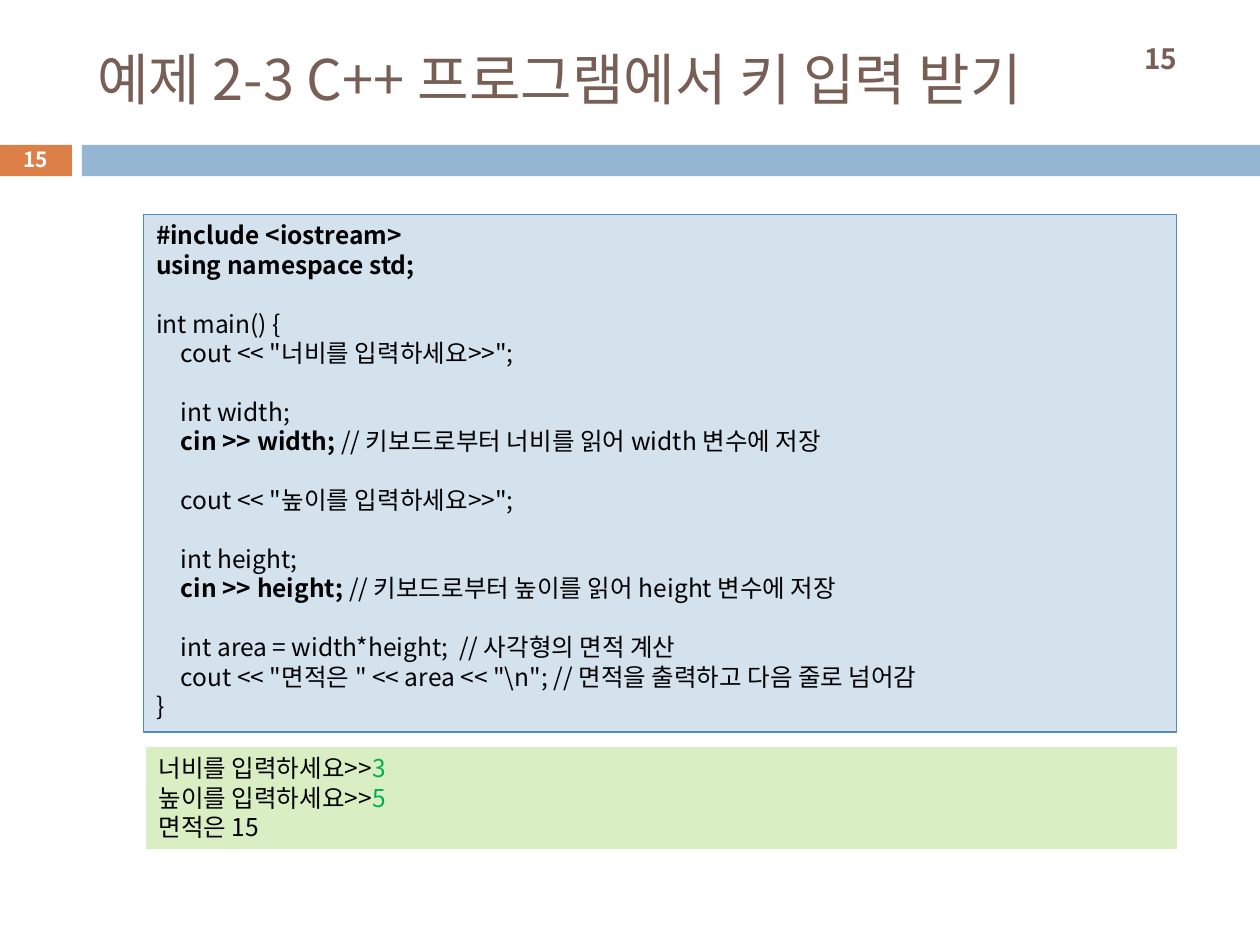
from lxml.etree import SubElement
from pptx import Presentation
from pptx.dml.color import RGBColor
from pptx.enum.shapes import MSO_SHAPE
from pptx.enum.text import MSO_ANCHOR, PP_ALIGN
from pptx.oxml.ns import qn
from pptx.util import Cm, Inches, Pt

FONT = "Noto Sans CJK KR"
BROWN, BLACK, WHITE, GREEN = "775F55", "000000", "FFFFFF", "00B050"
WIDTH, HEIGHT = Inches(10), Inches(7.5)
LINE = Pt(16.8)

CODE = [
    (0, [("#include <iostream>", True)]),
    (0, [("using namespace std;", True)]),
    (1, [("int main() {", False)]),
    (0, [("\tcout << \"너비를 입력하세요>>\";", False)]),
    (1, [("\tint width;", False)]),
    (0, [("\tcin >> width; ", True),
         ("// 키보드로부터 너비를 읽어 width 변수에 저장", False)]),
    (1, [("\tcout << \"높이를 입력하세요>>\";", False)]),
    (1, [("\tint height;", False)]),
    (0, [("\tcin >> height; ", True),
         ("// 키보드로부터 높이를 읽어 height 변수에 저장", False)]),
    (1, [("\tint area = width*height;\t // 사각형의 면적 계산", False)]),
    (0, [("\tcout << \"면적은 \" << area << \"\\n\"; "
          "// 면적을 출력하고 다음 줄로 넘어감", False)]),
    (0, [("}", False)]),
]
OUTPUT = [("너비를 입력하세요>>", "3"), ("높이를 입력하세요>>", "5"), ("면적은 15", "")]


def rgb(value):
    """Turn a hex string into a colour."""
    return RGBColor.from_string(value)


def place(box):
    """Turn left, top, width and height in percent of the slide into lengths."""
    return [int(share * side / 100)
            for share, side in zip(box, (WIDTH, HEIGHT) * 2)]


def add_run(p, text, size, color=BLACK, bold=False):
    """Append a run in the slide's font for Latin and Korean text."""
    r = p.add_run()
    r.text = text
    r.font.name, r.font.size, r.font.bold = FONT, Pt(size), bold
    r.font.color.rgb = rgb(color)
    SubElement(r._r.get_or_add_rPr(), qn("a:ea"), typeface=FONT)


def add_panel(s, box, fill, line=None):
    """Draw a rectangle and return its text frame, set from the top left."""
    sp = s.shapes.add_shape(MSO_SHAPE.RECTANGLE, *place(box))
    sp.shadow.inherit = False
    sp.fill.solid()
    sp.fill.fore_color.rgb = rgb(fill)
    if line:
        sp.line.color.rgb = rgb(line)
        sp.line.width = Pt(0.75)
    else:
        sp.line.fill.background()
    tf = sp.text_frame
    tf.word_wrap = True
    tf.vertical_anchor = MSO_ANCHOR.TOP
    return tf


def add_line(tf, index):
    """Return the paragraph for a line of a listing."""
    p = tf.add_paragraph() if index else tf.paragraphs[0]
    p.alignment = PP_ALIGN.LEFT
    p.line_spacing = LINE
    return p


def add_tab_stops(p, *stops):
    """Set left tab stops on a paragraph."""
    tabs = SubElement(p._p.get_or_add_pPr(), qn("a:tabLst"))
    for stop in stops:
        SubElement(tabs, qn("a:tab"), pos=str(stop), algn="l")


def add_number(s, box, size, color):
    """Write the page number in the middle of a box."""
    tf = s.shapes.add_textbox(*place(box)).text_frame
    tf.word_wrap = True
    tf.vertical_anchor = MSO_ANCHOR.MIDDLE
    p = tf.paragraphs[0]
    p.alignment = PP_ALIGN.CENTER
    add_run(p, "15", size, color, True)


def add_header(s):
    """Place the title, the two-colour band and the page numbers."""
    add_panel(s, (-0.1, 15.33, 5.8, 3.33), "DD8047")
    add_panel(s, (6.5, 15.33, 93.5, 3.33), "94B6D2")
    add_number(s, (87.5, 3.33, 9.2, 5.6), 16, BROWN)
    add_number(s, (-0.1, 15.07, 5.8, 3.6), 11.9, WHITE)
    sp = s.shapes.title
    sp.left, sp.top, sp.width, sp.height = place((6.7, 3.33, 89.2, 9.87))
    tf = sp.text_frame
    tf.vertical_anchor = MSO_ANCHOR.MIDDLE
    p = tf.paragraphs[0]
    p.alignment = PP_ALIGN.LEFT
    add_run(p, "예제 2-3 C++ 프로그램에서 키 입력 받기", 32, BROWN)


def add_code(s, box):
    """Write the program listing, with gaps of whole lines."""
    tf = add_panel(s, box, "D4E2ED", "558BB8")
    for i, (gap, runs) in enumerate(CODE):
        p = add_line(tf, i)
        p.space_before = gap * LINE
        add_tab_stops(p, Cm(0.5), Cm(6))
        for text, bold in runs:
            add_run(p, text, 14, bold=bold)


def add_output(s, box):
    """Write the program's output with the typed values in green."""
    tf = add_panel(s, box, "DAEEC4")
    for i, (text, typed) in enumerate(OUTPUT):
        p = add_line(tf, i)
        add_run(p, text, 14)
        if typed:
            add_run(p, typed, 14, GREEN)


def main():
    """Build the slide and save it."""
    prs = Presentation()
    prs.slide_width, prs.slide_height = WIDTH, HEIGHT
    s = prs.slides.add_slide(prs.slide_layouts[5])
    add_header(s)
    add_code(s, (11.4, 22.67, 82, 54.8))
    add_output(s, (11.6, 79.07, 81.8, 10.8))
    prs.save("out.pptx")


if __name__ == "__main__":
    main()
